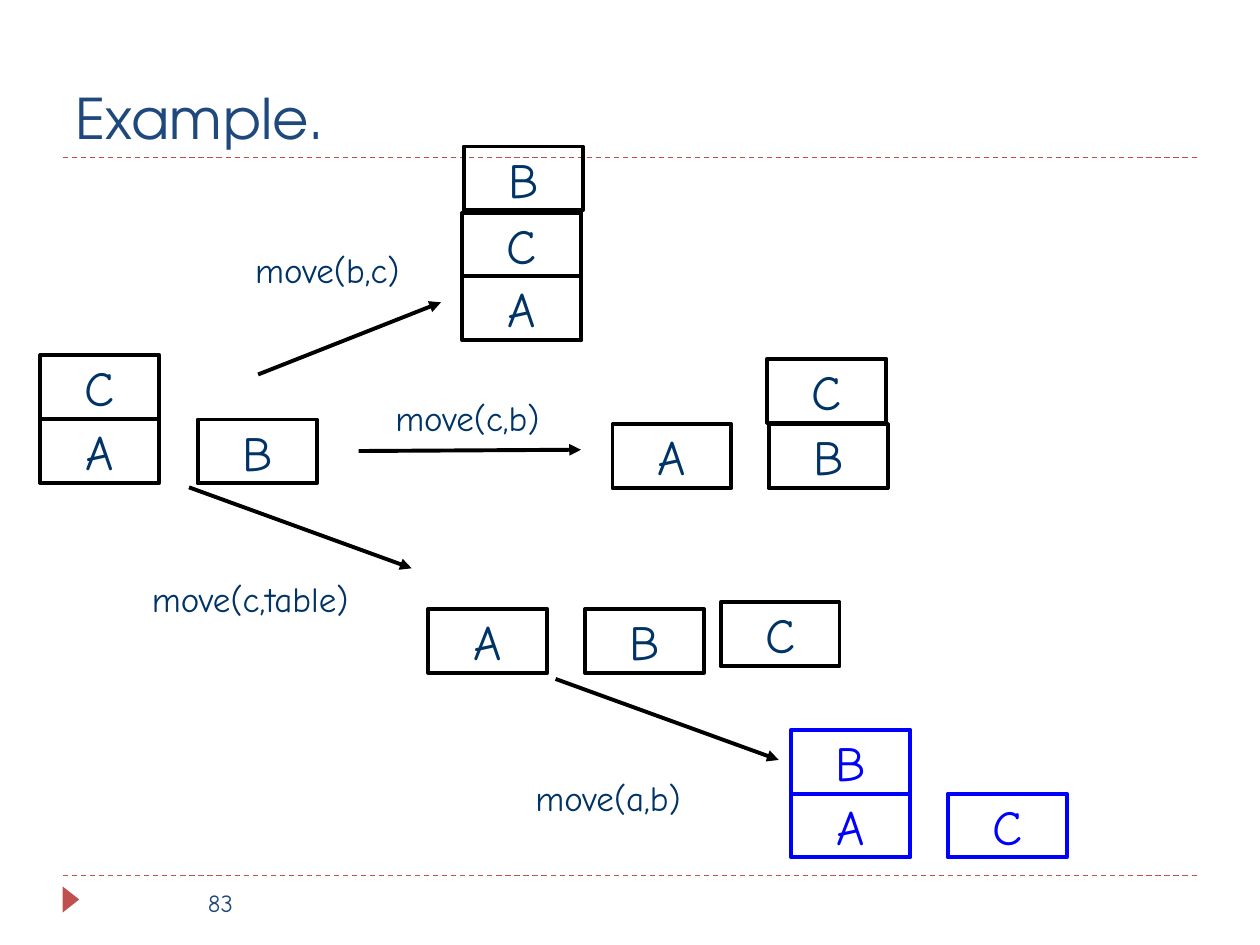
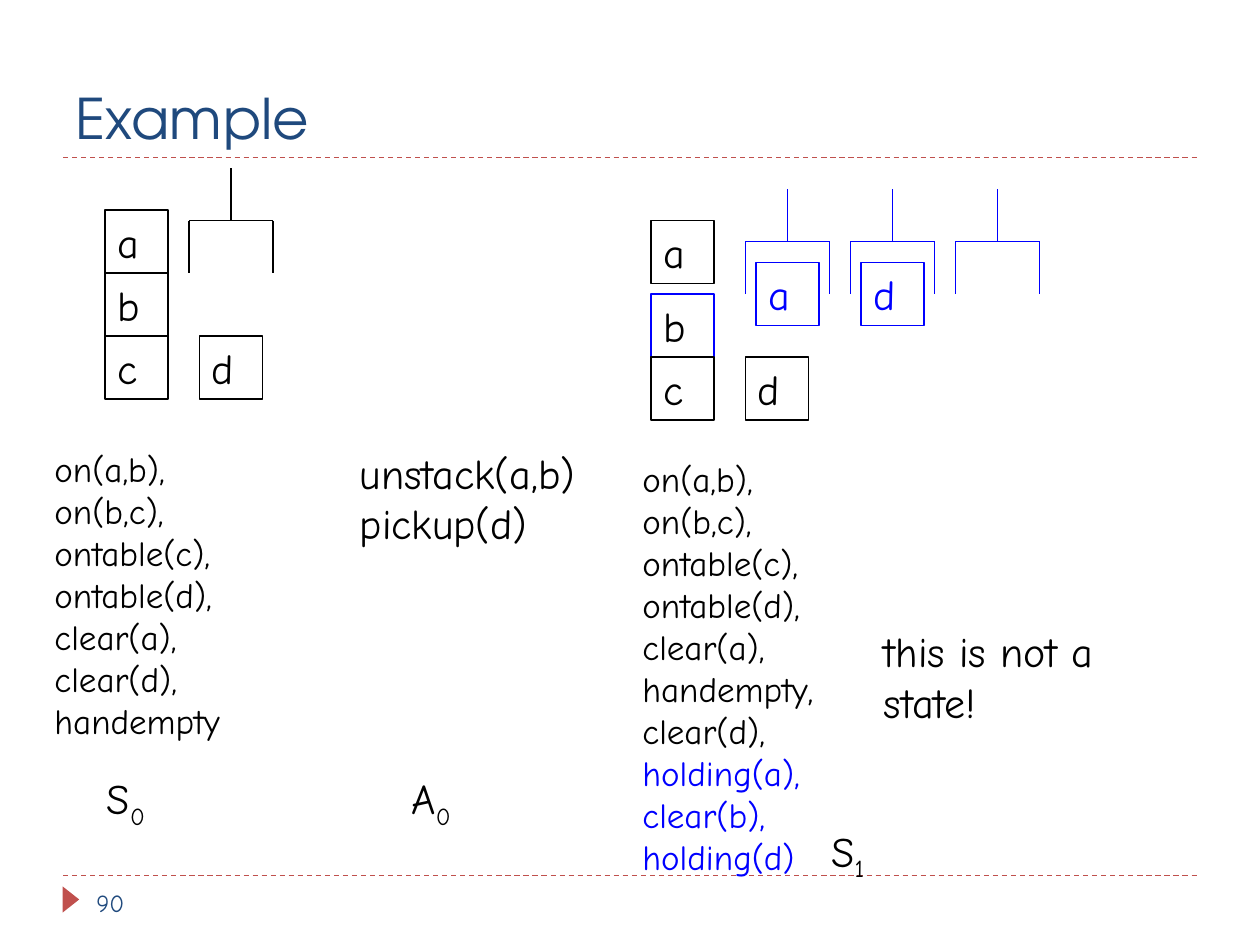
from dataclasses import dataclass
from typing import Optional

from lxml.etree import SubElement
from pptx import Presentation
from pptx.dml.color import RGBColor
from pptx.enum.dml import MSO_LINE
from pptx.enum.shapes import MSO_CONNECTOR, MSO_SHAPE
from pptx.enum.text import MSO_ANCHOR as Anchor, PP_ALIGN as Align
from pptx.oxml.ns import qn
from pptx.presentation import Presentation as Deck
from pptx.slide import Slide
from pptx.text.text import TextFrame
from pptx.util import Pt


@dataclass(frozen=True)
class Theme:
    heading: RGBColor = RGBColor(0x1F, 0x49, 0x7D)
    accent: RGBColor = RGBColor(0xC0, 0x50, 0x4D)
    navy: RGBColor = RGBColor(0x00, 0x33, 0x66)
    blue: RGBColor = RGBColor(0x00, 0x00, 0xFF)
    black: RGBColor = RGBColor(0x00, 0x00, 0x00)
    heading_font: str = "TeX Gyre Adventor"
    body_font: str = "Comic Neue"
    title_size: float = 32
    tower_size: float = 28
    large_size: float = 24
    body_size: float = 20
    page_size: float = 14
    rule_width: float = 0.75
    thin: float = 1
    thick: float = 2.25


THEME = Theme()


@dataclass(frozen=True)
class Span:
    text: str
    color: Optional[RGBColor] = None
    subscript: bool = False


@dataclass(frozen=True)
class BlockStyle:
    width: float
    height: float
    line_width: float
    size: float
    align: Align


@dataclass(frozen=True)
class Stack:
    blocks: str
    left: float
    top: float
    text_color: RGBColor
    line_color: RGBColor = THEME.black


@dataclass(frozen=True)
class Move:
    action: str
    start: tuple[float, float]
    end: tuple[float, float]
    label_left: float
    label_top: float
    label_width: float


@dataclass(frozen=True)
class Note:
    spans: tuple[Span, ...]
    left: float
    top: float
    width: float
    height: float
    size: float = THEME.large_size
    wrap: bool = True


@dataclass(frozen=True)
class Gripper:
    left: float
    bar_top: float
    color: RGBColor


TOWER = BlockStyle(68, 36.5, THEME.thick, THEME.tower_size, Align.CENTER)
CUBE = BlockStyle(36, 36, THEME.thin, THEME.large_size, Align.LEFT)
GRIPPER_WIDTH = 48
GRIPPER_REACH = 30

MOVE_STACKS = (
    Stack("CA", 23, 203, THEME.navy),
    Stack("B", 113, 239.75, THEME.navy),
    Stack("CA", 264.25, 121.5, THEME.navy),
    Stack("B", 265, 83.75, THEME.navy),
    Stack("C", 438.5, 205, THEME.navy),
    Stack("A", 350, 242.5, THEME.navy),
    Stack("B", 439.25, 242.5, THEME.navy),
    Stack("C", 411.75, 344.25, THEME.navy),
    Stack("A", 244.75, 348, THEME.navy),
    Stack("B", 334.25, 348, THEME.navy),
    Stack("BA", 452.25, 417, THEME.blue, THEME.blue),
    Stack("C", 541.5, 453.5, THEME.blue, THEME.blue),
)
MOVES = (
    Move("move(b,c)", (147.5, 214), (252, 172.75), 117.25, 138.25, 139.75),
    Move("move(c,b)", (205, 257.75), (332, 257), 197.25, 223.25, 139.75),
    Move("move(c,table)", (108, 278.5), (235.25, 324.75), 66.25, 326.25, 153.5),
    Move("move(a,b)", (317.5, 388), (445, 434.25), 270.75, 440, 153.5),
)

STATE_STACKS = (
    Stack("abc", 60, 120, THEME.black),
    Stack("d", 114, 192, THEME.black),
    Stack("a", 432, 150, THEME.blue, THEME.blue),
    Stack("b", 372, 168, THEME.black, THEME.blue),
    Stack("c", 372, 204, THEME.black),
    Stack("d", 426, 204, THEME.black),
    Stack("a", 372, 126, THEME.black),
    Stack("d", 492, 150, THEME.blue, THEME.blue),
)
GRIPPERS = (
    Gripper(108, 126, THEME.black),
    *(Gripper(426 + 60 * step, 138, THEME.blue) for step in range(3)),
)
SHARED_FACTS = "on(a,b),\non(b,c),\nontable(c),\nontable(d),\nclear(a),\n"
NOTES = (
    Note((Span(SHARED_FACTS + "clear(d),\nhandempty"),),
         24, 252, 126, 175.5, THEME.body_size),
    Note((Span("unstack(a,b)\npickup(d)"),), 198.5, 252, 138.25, 65, wrap=False),
    Note((Span("S"), Span("0", subscript=True)), 54, 438, 54, 40),
    Note((Span("A"), Span("0", subscript=True)), 228, 438, 54, 40),
    Note((Span(SHARED_FACTS + "handempty,\nclear(d),\n"),
          Span("holding(a),\nclear(b),\nholding(d)", THEME.blue)),
         360, 258, 126, 247.75, THEME.body_size),
    Note((Span("this is not a state!"),), 498, 354, 144, 65),
    Note((Span("S"), Span("1", subscript=True)), 468, 468, 54, 40),
)


def write(frame: TextFrame, *spans: Span, size: float, color: RGBColor,
          font: str = THEME.body_font, align: Align = Align.LEFT,
          anchor: Anchor = Anchor.TOP, wrap: bool = True) -> None:
    frame.word_wrap = wrap
    frame.vertical_anchor = anchor
    paragraph = frame.paragraphs[0]
    paragraph.alignment = align
    for span in spans:
        for index, line in enumerate(span.text.split("\n")):
            if index:
                paragraph.add_line_break()
            if not line:
                continue
            run = paragraph.add_run()
            run.text = line
            run.font.name = font
            run.font.size = Pt(size)
            run.font.color.rgb = span.color or color
            if span.subscript:
                run._r.get_or_add_rPr().set("baseline", "-25000")


def add_text(slide: Slide, left: float, top: float, width: float,
             height: float, *spans: Span, **text_format) -> None:
    box = slide.shapes.add_textbox(Pt(left), Pt(top), Pt(width), Pt(height))
    write(box.text_frame, *spans, **text_format)


def add_line(slide: Slide, start: tuple[float, float], end: tuple[float, float],
             color: RGBColor, width: float, dashed: bool = False,
             arrow: bool = False) -> None:
    connector = slide.shapes.add_connector(
        MSO_CONNECTOR.STRAIGHT, *(Pt(value) for value in (*start, *end)))
    connector.line.color.rgb = color
    connector.line.width = Pt(width)
    if dashed:
        connector.line.dash_style = MSO_LINE.DASH
    properties = connector._element.spPr
    if arrow:
        SubElement(properties.find(qn("a:ln")), qn("a:tailEnd"), type="triangle")
    SubElement(properties, qn("a:effectLst"))


def add_stack(slide: Slide, stack: Stack, style: BlockStyle) -> None:
    for level, letter in enumerate(stack.blocks):
        block = slide.shapes.add_shape(
            MSO_SHAPE.RECTANGLE, Pt(stack.left),
            Pt(stack.top + level * style.height),
            Pt(style.width), Pt(style.height))
        block.shadow.inherit = False
        block.fill.background()
        block.line.color.rgb = stack.line_color
        block.line.width = Pt(style.line_width)
        write(block.text_frame, Span(letter), size=style.size,
              color=stack.text_color, align=style.align, anchor=Anchor.MIDDLE)


def add_move(slide: Slide, move: Move) -> None:
    add_line(slide, move.start, move.end, THEME.black, THEME.thick, arrow=True)
    add_text(slide, move.label_left, move.label_top, move.label_width, 31,
             Span(move.action), size=THEME.body_size, color=THEME.navy,
             align=Align.CENTER)


def add_gripper(slide: Slide, gripper: Gripper) -> None:
    left, bar = gripper.left, gripper.bar_top
    right, middle = left + GRIPPER_WIDTH, left + GRIPPER_WIDTH / 2
    tip = bar + GRIPPER_REACH
    for start, end in (
        ((left, tip), (left, bar)),
        ((left, bar), (right, bar)),
        ((right, bar), (right, tip)),
        ((middle, bar), (middle, bar - GRIPPER_REACH)),
    ):
        add_line(slide, start, end, gripper.color, THEME.thin)


def add_base_slide(deck: Deck, heading: str, page: str,
                   page_align: Align) -> Slide:
    slide = deck.slides.add_slide(deck.slide_layouts[5])
    for rule_top in (500.5, 90):
        add_line(slide, (36, rule_top), (684, rule_top), THEME.accent,
                 THEME.rule_width, dashed=True)
    marker = slide.shapes.add_shape(MSO_SHAPE.ISOSCELES_TRIANGLE,
                                    Pt(33), Pt(509.25), Pt(15), Pt(9.5))
    marker.rotation = 90
    marker.shadow.inherit = False
    marker.fill.solid()
    marker.fill.fore_color.rgb = THEME.accent
    marker.line.fill.background()
    title = slide.shapes.title
    title.left, title.top = Pt(36), Pt(12.25)
    title.width, title.height = Pt(648), Pt(77.75)
    write(title.text_frame, Span(heading), size=THEME.title_size,
          color=THEME.heading, font=THEME.heading_font, anchor=Anchor.BOTTOM)
    add_text(slide, 48, 504, 156, 25, Span(page), size=THEME.page_size,
             color=THEME.heading, align=page_align)
    return slide


def build_moves(deck: Deck) -> None:
    slide = add_base_slide(deck, "Example.", "83", Align.CENTER)
    for stack in MOVE_STACKS:
        add_stack(slide, stack, TOWER)
    for move in MOVES:
        add_move(slide, move)


def build_states(deck: Deck) -> None:
    slide = add_base_slide(deck, "Example", "90", Align.LEFT)
    for stack in STATE_STACKS:
        add_stack(slide, stack, CUBE)
    for gripper in GRIPPERS:
        add_gripper(slide, gripper)
    for note in NOTES:
        add_text(slide, note.left, note.top, note.width, note.height,
                 *note.spans, size=note.size, color=THEME.black, wrap=note.wrap)


def main() -> None:
    deck = Presentation()
    deck.slide_width, deck.slide_height = Pt(720), Pt(540)
    build_moves(deck)
    build_states(deck)
    deck.save("out.pptx")


if __name__ == "__main__":
    main()
